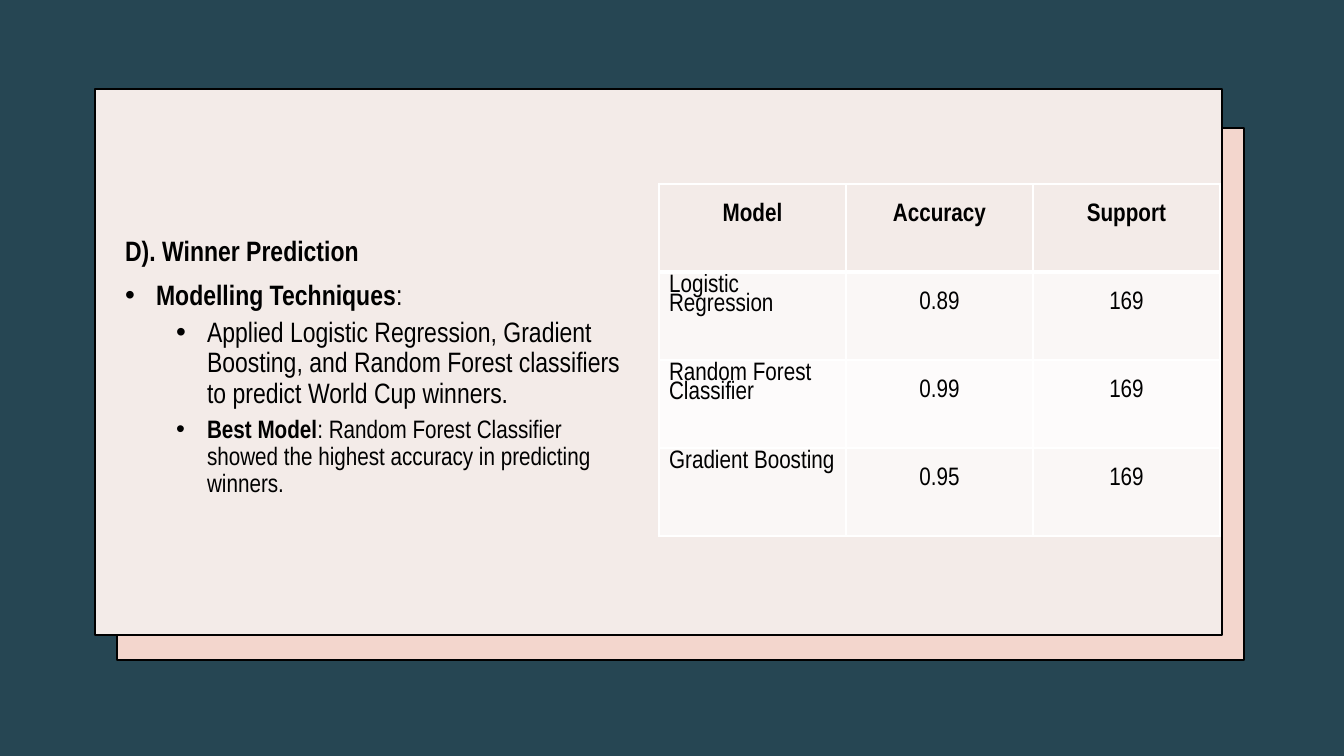
from dataclasses import dataclass

from lxml import etree
from pptx import Presentation
from pptx.dml.color import RGBColor
from pptx.enum.shapes import MSO_SHAPE
from pptx.enum.text import MSO_ANCHOR, PP_ALIGN
from pptx.oxml.ns import qn
from pptx.util import Emu, Pt

RECT = MSO_SHAPE.RECTANGLE
TOP = MSO_ANCHOR.TOP
LEFT, CENTER = PP_ALIGN.LEFT, PP_ALIGN.CENTER

WIDE, HIGH = 1344, 756
SCALE = 12192000 / WIDE
FONT = "Arial Narrow"

BLACK = RGBColor(0x00, 0x00, 0x00)
WHITE = RGBColor(0xFF, 0xFF, 0xFF)
TEAL = RGBColor(0x26, 0x46, 0x53)
PINK = RGBColor(0xF3, 0xD6, 0xCD)
CREAM = RGBColor(0xF3, 0xEB, 0xE8)
PALE = RGBColor(0xFA, 0xF7, 0xF6)
LIGHT = RGBColor(0xFD, 0xFB, 0xFB)


@dataclass(frozen=True)
class Panel:
    left: int
    top: int
    wide: int
    high: int
    fill: RGBColor


@dataclass(frozen=True)
class Point:
    bold: str
    plain: str = ""
    size: int = 20
    level: int = 0
    indent: int = 0
    before: int = 10


PANELS = (
    Panel(117, 128, 1127, 532, PINK),
    Panel(95, 89, 1127, 546, CREAM),
)
POINTS = (
    Point("D). Winner Prediction"),
    Point("Modelling Techniques", ":", indent=31),
    Point("", "Applied Logistic Regression, Gradient Boosting, and Random Forest "
          "classifiers to predict World Cup winners.", level=1, indent=82, before=5),
    Point("Best Model", ": Random Forest Classifier showed the highest accuracy in "
          "predicting winners.", size=18, level=1, indent=82, before=5),
)
HANG = 31
ROWS = (
    ("Model", "Accuracy", "Support"),
    ("Logistic Regression", "0.89", "169"),
    ("Random Forest Classifier", "0.99", "169"),
    ("Gradient Boosting", "0.95", "169"),
)
FILLS = (CREAM, PALE, LIGHT, PALE)
COL, ROW = 187, 88


def px(count: int) -> Emu:
    return Emu(round(count * SCALE))


def write(para, text: str, *, size: int = 18, bold: bool = False) -> None:
    run = para.add_run()
    run.text = text
    font = run.font
    font.name, font.size, font.bold = FONT, Pt(size), bold
    font.color.rgb = BLACK


def draw_panel(slide, panel: Panel) -> None:
    shape = slide.shapes.add_shape(
        RECT, px(panel.left), px(panel.top), px(panel.wide), px(panel.high))
    shape.shadow.inherit = False
    shape.fill.solid()
    shape.fill.fore_color.rgb = panel.fill
    shape.line.color.rgb = BLACK
    shape.line.width = Pt(2)


def draw_point(para, point: Point) -> None:
    para.level = point.level
    para.alignment = LEFT
    para.line_spacing = 0.9
    para.space_before = Pt(point.before)
    if point.indent:
        props = para._p.get_or_add_pPr()
        props.set("marL", str(px(point.indent)))
        props.set("indent", str(-px(HANG)))
        etree.SubElement(props, qn("a:buFont"), typeface="Arial")
        etree.SubElement(props, qn("a:buChar"), char="•")
    for text, bold in ((point.bold, True), (point.plain, False)):
        if text:
            write(para, text, size=point.size, bold=bold)


def draw_body(slide) -> None:
    body = slide.placeholders[1]
    body.left, body.top, body.width, body.height = px(115), px(232), px(526), px(338)
    slide.shapes._spTree.append(body._element)
    frame = body.text_frame
    frame.word_wrap = True
    frame.vertical_anchor = TOP
    for index, point in enumerate(POINTS):
        para = frame.add_paragraph() if index else frame.paragraphs[0]
        draw_point(para, point)


def draw_edges(cell, head: bool, below: bool) -> None:
    props = cell._tc.get_or_add_tcPr()
    widths = {"L": 1, "R": 1, "T": 3 if below else 1, "B": 3 if head else 1}
    for place, (side, width) in enumerate(widths.items()):
        edge = etree.Element(qn(f"a:ln{side}"), w=str(Pt(width)))
        fill = etree.SubElement(edge, qn("a:solidFill"))
        etree.SubElement(fill, qn("a:srgbClr"), val=str(WHITE))
        props.insert(place, edge)


def draw_table(slide) -> None:
    count = len(ROWS[0])
    table = slide.shapes.add_table(
        len(ROWS), count, px(659), px(184), px(COL * count), px(ROW * len(ROWS))).table
    for col in table.columns:
        col.width = px(COL)
    for r, texts in enumerate(ROWS):
        table.rows[r].height = px(ROW)
        for c, text in enumerate(texts):
            cell = table.cell(r, c)
            cell.fill.solid()
            cell.fill.fore_color.rgb = FILLS[r]
            cell.vertical_anchor = TOP
            draw_edges(cell, r == 0, r == 1)
            label = r > 0 and c == 0
            para = cell.text_frame.paragraphs[0]
            para.alignment = LEFT if label else CENTER
            para.line_spacing = 0.8 if label else 1.6
            write(para, text, bold=r == 0)


def main() -> None:
    deck = Presentation()
    deck.slide_width, deck.slide_height = px(WIDE), px(HIGH)
    slide = deck.slides.add_slide(deck.slide_layouts[0])
    title = slide.shapes.title._element
    title.getparent().remove(title)
    slide.background.fill.solid()
    slide.background.fill.fore_color.rgb = TEAL
    for panel in PANELS:
        draw_panel(slide, panel)
    draw_body(slide)
    draw_table(slide)
    deck.save("out.pptx")


if __name__ == "__main__":
    main()
